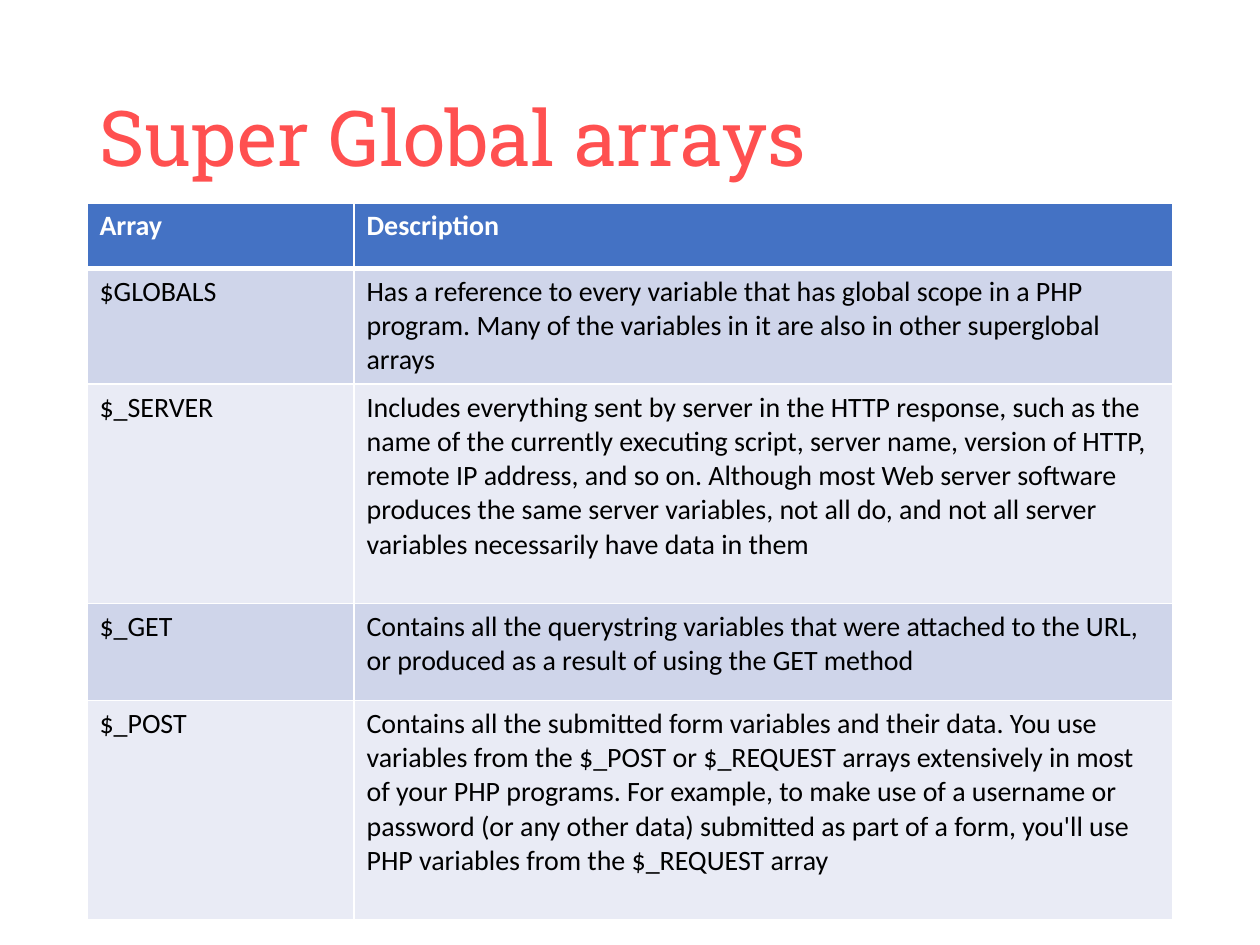
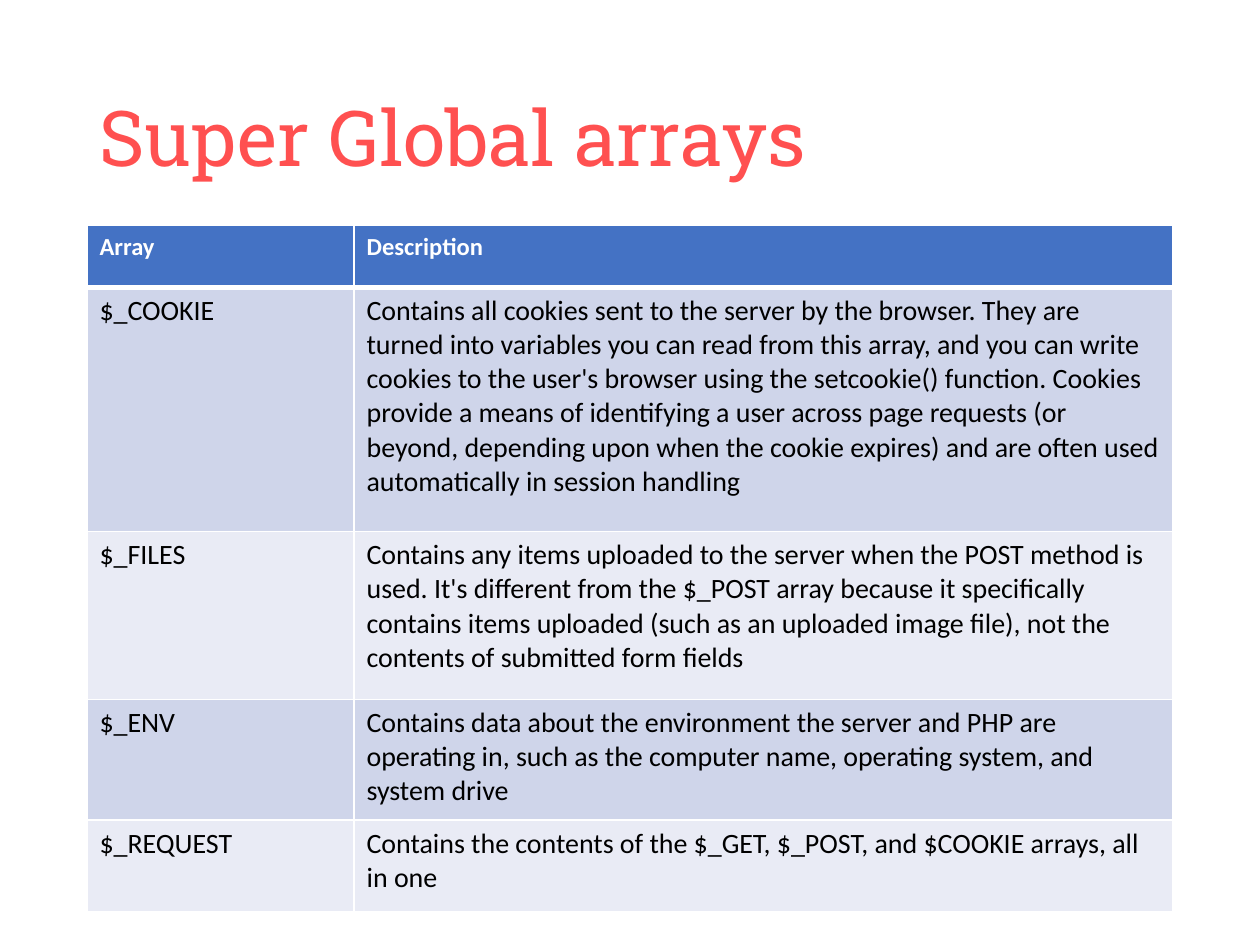
from dataclasses import dataclass

import lxml.etree
import pptx
import pptx.dml.color
import pptx.enum.text
import pptx.oxml.ns
import pptx.util

Inches = pptx.util.Inches
Pt = pptx.util.Pt


@dataclass(frozen=True)
class Theme:
    title_font: str = "Roboto Slab"
    table_font: str = "Calibri"
    title_color: str = "FF5050"
    header_fill: str = "4472C4"
    band_fills: tuple = ("CFD5EA", "E9EBF5")
    header_text: str = "FFFFFF"
    body_text: str = "000000"
    border_color: str = "FFFFFF"
    title_size: int = 44
    body_size: int = 16
    border_width: int = 1
    header_rule_width: int = 3


THEME = Theme()
TITLE = "Super Global arrays"
HEADINGS = ("Array", "Description")
LEFT, WIDTH = 0.69, 8.62
COLUMN_WIDTHS = (2.12, 6.5)

SLIDES = [
    {
        "top": 1.61,
        "header_size": 16,
        "row_heights": (0.52, 0.92, 1.74, 0.77, 1.74),
        "arrays": [
            ("$GLOBALS",
             "Has a reference to every variable that has global scope in a PHP program. "
             "Many of the variables in it are also in other superglobal arrays"),
            ("$_SERVER",
             "Includes everything sent by server in the HTTP response, such as the name of "
             "the currently executing script, server name, version of HTTP, remote IP "
             "address, and so on. Although most Web server software produces the same "
             "server variables, not all do, and not all server variables necessarily have "
             "data in them"),
            ("$_GET",
             "Contains all the querystring variables that were attached to the URL, or "
             "produced as a result of using the GET method"),
            ("$_POST",
             "Contains all the submitted form variables and their data. You use variables "
             "from the $_POST or $_REQUEST arrays extensively in most of your PHP programs. "
             "For example, to make use of a username or password (or any other data) "
             "submitted as part of a form, you'll use PHP variables from the $_REQUEST array"),
        ],
    },
    {
        "top": 1.79,
        "header_size": 14,
        "row_heights": (0.49, 1.94, 1.33, 0.96, 0.73),
        "arrays": [
            ("$_COOKIE",
             "Contains all cookies sent to the server by the browser. They are turned into "
             "variables you can read from this array, and you can write cookies to the "
             "user's browser using the setcookie() function. Cookies provide a means of "
             "identifying a user across page requests (or beyond, depending upon when the "
             "cookie expires) and are often used automatically in session handling"),
            ("$_FILES",
             "Contains any items uploaded to the server when the POST method is used. It's "
             "different from the $_POST array because it specifically contains items "
             "uploaded (such as an uploaded image file), not the contents of submitted form "
             "fields"),
            ("$_ENV",
             "Contains data about the environment the server and PHP are operating in, such "
             "as the computer name, operating system, and system drive"),
            ("$_REQUEST",
             "Contains the contents of the $_GET, $_POST, and $COOKIE arrays, all in one"),
        ],
    },
]


def add_run(paragraph, text, font_name, size, color, bold=False):
    run = paragraph.add_run()
    run.text = text
    run.font.name = font_name
    run.font.size = Pt(size)
    run.font.bold = bold
    run.font.color.rgb = pptx.dml.color.RGBColor.from_string(color)


def set_borders(cell, bottom_width):
    """Draw all four cell borders; call before filling, as the schema puts lines first."""
    qn = pptx.oxml.ns.qn
    properties = cell._tc.get_or_add_tcPr()
    for side in ("L", "R", "T", "B"):
        width = bottom_width if side == "B" else THEME.border_width
        line = lxml.etree.SubElement(properties, qn(f"a:ln{side}"), w=str(Pt(width)))
        fill = lxml.etree.SubElement(line, qn("a:solidFill"))
        lxml.etree.SubElement(fill, qn("a:srgbClr"), val=THEME.border_color)


presentation = pptx.Presentation()
presentation.slide_width = Inches(10)
presentation.slide_height = Inches(7.5)

# Both slides inherit the title place from the "Title Only" layout.
layout = presentation.slide_layouts[5]
layout_title = layout.placeholders[0]
layout_title.left, layout_title.top = Inches(LEFT), Inches(0.4)
layout_title.width, layout_title.height = Inches(WIDTH), Inches(1.45)
layout_title.text_frame.vertical_anchor = pptx.enum.text.MSO_ANCHOR.MIDDLE

for content in SLIDES:
    slide = presentation.slides.add_slide(layout)
    paragraph = slide.shapes.title.text_frame.paragraphs[0]
    paragraph.alignment = pptx.enum.text.PP_ALIGN.LEFT
    paragraph.line_spacing = 0.9
    add_run(paragraph, TITLE, THEME.title_font, THEME.title_size, THEME.title_color)

    rows = [HEADINGS, *content["arrays"]]
    table = slide.shapes.add_table(
        len(rows), len(HEADINGS), Inches(LEFT), Inches(content["top"]),
        Inches(WIDTH), Inches(sum(content["row_heights"]))).table
    for column, width in zip(table.columns, COLUMN_WIDTHS):
        column.width = Inches(width)

    for row_index, texts in enumerate(rows):
        table.rows[row_index].height = Inches(content["row_heights"][row_index])
        is_header = row_index == 0
        if is_header:
            fill_color, text_color = THEME.header_fill, THEME.header_text
            size, bottom_width = content["header_size"], THEME.header_rule_width
        else:
            fill_color, text_color = THEME.band_fills[(row_index - 1) % 2], THEME.body_text
            size, bottom_width = THEME.body_size, THEME.border_width

        for column_index, text in enumerate(texts):
            cell = table.cell(row_index, column_index)
            set_borders(cell, bottom_width)
            cell.fill.solid()
            cell.fill.fore_color.rgb = pptx.dml.color.RGBColor.from_string(fill_color)
            add_run(cell.text_frame.paragraphs[0], text, THEME.table_font, size,
                    text_color, bold=is_header)

presentation.save("out.pptx")
